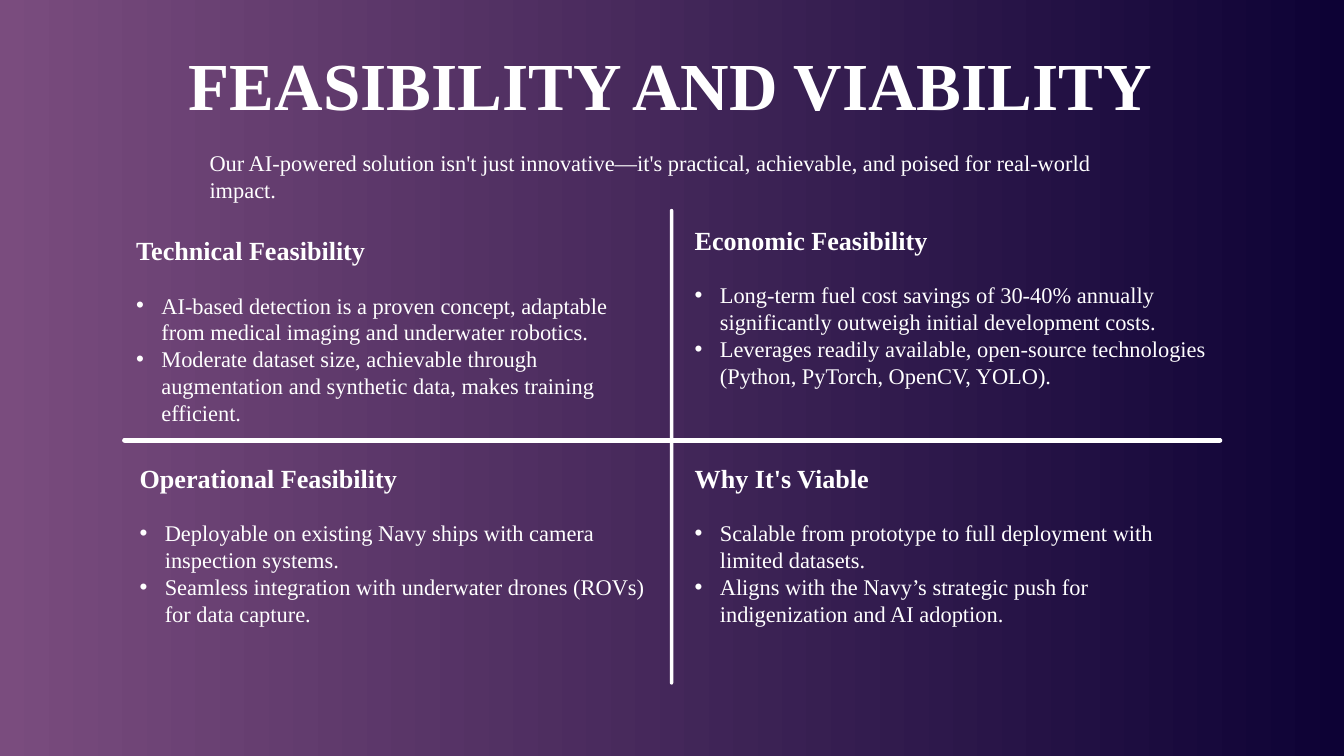
from pptx import Presentation
from pptx.dml.color import RGBColor
from pptx.enum.shapes import MSO_SHAPE as Preset
from pptx.enum.text import MSO_ANCHOR as Anchor, MSO_AUTO_SIZE as AutoSize, PP_ALIGN as Align
from pptx.oxml import parse_xml
from pptx.oxml.ns import nsdecls
from pptx.util import Cm, Pt

FONT = "Times New Roman"
WHITE = RGBColor(0xFF, 0xFF, 0xFF)
PLUM = RGBColor(0x7A, 0x4C, 0x7E)
NAVY = RGBColor(0x0D, 0x02, 0x35)
BULLET_INDENT = Cm(0.95)

# Boxes are left, top, width, height in centimetres.
TITLE_BOX = (3.76, -0.94, 43.18, 8.74)
INTRO_BOX = (7.67, 5.51, 35.36, 1.27)
VERTICAL_BAR = (25.32, 7.9, 0.13, 17.98)
HORIZONTAL_BAR = (4.62, 16.56, 41.58, 0.18)

INTRO = ("Our AI-powered solution isn't just innovative—it's practical, "
         "achievable, and poised for real-world impact.")
QUADRANTS = [
    ((4.9, 8.74, 19.89, 6.58), "Technical Feasibility", [
        "AI-based detection is a proven concept, adaptable from medical imaging "
        "and underwater robotics.",
        "Moderate dataset size, achievable through augmentation and synthetic data, "
        "makes training efficient."]),
    ((26.01, 8.36, 19.89, 7.62), "Economic Feasibility", [
        "Long-term fuel cost savings of 30-40% annually significantly outweigh "
        "initial development costs.",
        "Leverages readily available, open-source technologies "
        "(Python, PyTorch, OpenCV, YOLO)."]),
    ((5.03, 17.35, 19.76, 7.62), "Operational Feasibility", [
        "Deployable on existing Navy ships with camera inspection systems.",
        "Seamless integration with underwater drones (ROVs) for data capture."]),
    ((26.01, 17.35, 19.81, 7.62), "Why It's Viable", [
        "Scalable from prototype to full deployment with limited datasets.",
        "Aligns with the Navy’s strategic push for indigenization and AI adoption."]),
]


def to_cm(box):
    return [Cm(length) for length in box]


def format_runs(paragraph, size, bold=False):
    for run in paragraph.runs:
        run.font.name = FONT
        run.font.size = Pt(size)
        run.font.bold = bold
        run.font.color.rgb = WHITE


def add_bullet(paragraph):
    properties = paragraph._p.get_or_add_pPr()
    properties.set("marL", str(BULLET_INDENT))
    properties.set("indent", str(-BULLET_INDENT))
    properties.append(parse_xml(f'<a:buFont {nsdecls("a")} typeface="Arial"/>'))
    properties.append(parse_xml(f'<a:buChar {nsdecls("a")} char="•"/>'))


def add_text_frame(slide, box):
    text_frame = slide.shapes.add_textbox(*to_cm(box)).text_frame
    text_frame.word_wrap = True
    text_frame.auto_size = AutoSize.SHAPE_TO_FIT_TEXT
    return text_frame


def paint_background(slide):
    fill = slide.background.fill
    fill.gradient()
    fill.gradient_angle = 0
    for stop, color, position in zip(fill.gradient_stops, (PLUM, NAVY), (0, 1)):
        stop.color.rgb = color
        stop.position = position


def place_title(slide, box, text):
    title = slide.shapes.title
    title.left, title.top, title.width, title.height = to_cm(box)
    text_frame = title.text_frame
    text_frame.text = text
    text_frame.word_wrap = True
    text_frame.auto_size = AutoSize.NONE
    text_frame.vertical_anchor = Anchor.MIDDLE
    text_frame.margin_left = text_frame.margin_right = 0
    text_frame.margin_top = text_frame.margin_bottom = 0
    paragraph = text_frame.paragraphs[0]
    paragraph.alignment = Align.CENTER
    paragraph.line_spacing = Pt(72)
    paragraph.space_before = Pt(0)
    format_runs(paragraph, 72, bold=True)


def add_intro(slide, box, text):
    text_frame = add_text_frame(slide, box)
    text_frame.text = text
    format_runs(text_frame.paragraphs[0], 24)


def add_quadrant(slide, box, heading, points):
    text_frame = add_text_frame(slide, box)
    text_frame.text = "\n".join([heading, *points])
    heading_paragraph, *point_paragraphs = text_frame.paragraphs
    heading_paragraph.space_after = Pt(27.6)
    format_runs(heading_paragraph, 28, bold=True)
    for paragraph in point_paragraphs:
        add_bullet(paragraph)
        format_runs(paragraph, 24)


def add_bar(slide, box):
    bar = slide.shapes.add_shape(Preset.ROUNDED_RECTANGLE, *to_cm(box))
    bar.adjustments[0] = 0.5
    bar.shadow.inherit = False
    bar.fill.solid()
    bar.fill.fore_color.rgb = WHITE
    bar.line.fill.background()


def main():
    presentation = Presentation()
    presentation.slide_width = Cm(50.8)
    presentation.slide_height = Cm(28.58)
    title_only = presentation.slide_layouts.get_by_name("Title Only")
    slide = presentation.slides.add_slide(title_only)

    paint_background(slide)
    place_title(slide, TITLE_BOX, "FEASIBILITY AND VIABILITY")
    add_intro(slide, INTRO_BOX, INTRO)
    for box, heading, points in QUADRANTS:
        add_quadrant(slide, box, heading, points)
    for box in (VERTICAL_BAR, HORIZONTAL_BAR):
        add_bar(slide, box)

    presentation.save("out.pptx")


if __name__ == "__main__":
    main()
